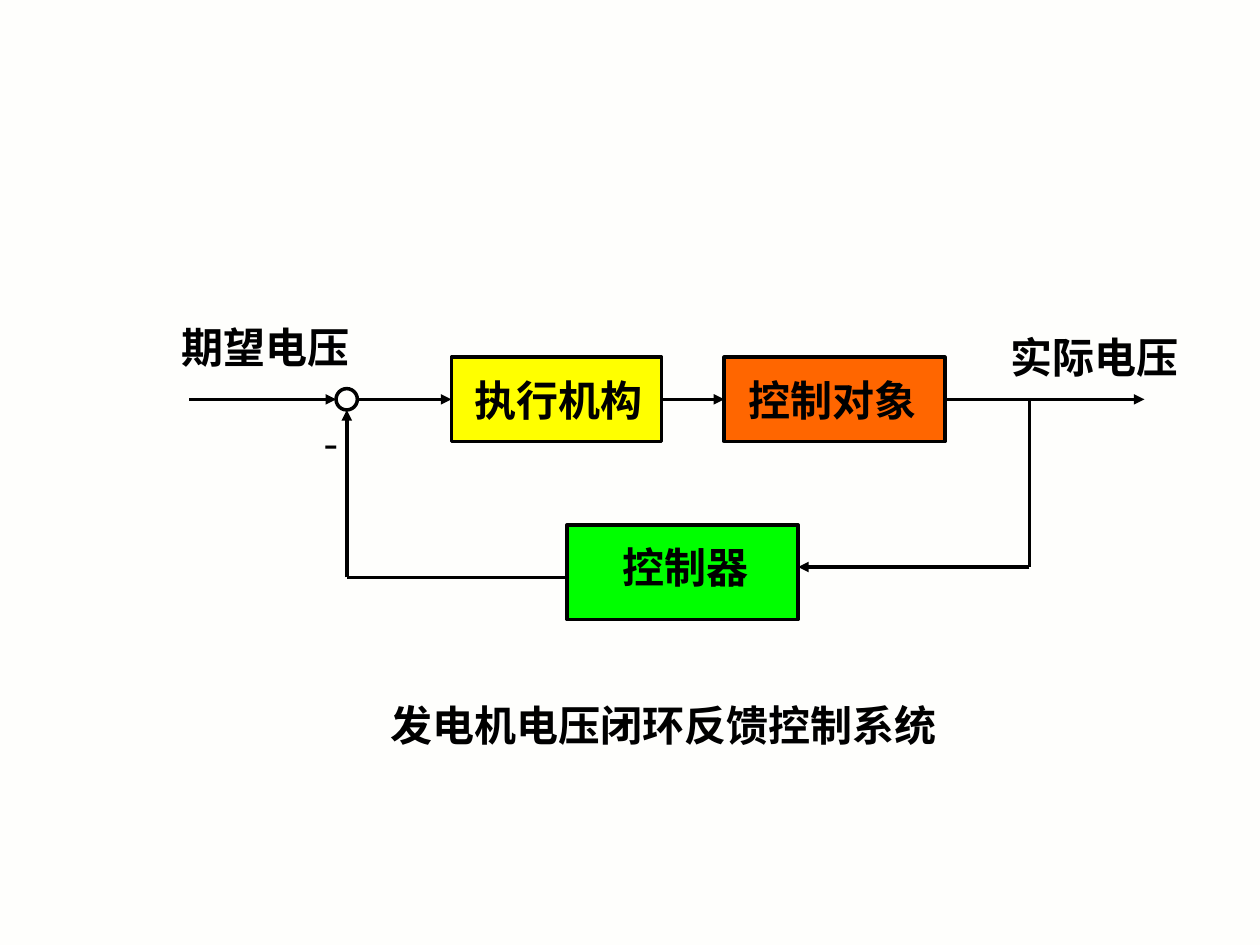
from lxml import etree
from pptx import Presentation
from pptx.dml.color import RGBColor
from pptx.enum.shapes import MSO_CONNECTOR, MSO_SHAPE
from pptx.enum.text import MSO_AUTO_SIZE, PP_ALIGN
from pptx.oxml.ns import qn
from pptx.util import Cm, Pt

BLACK = RGBColor(0x00, 0x00, 0x00)
PAPER = RGBColor(0xFE, 0xFE, 0xFC)
YELLOW = RGBColor(0xFF, 0xFF, 0x00)
ORANGE = RGBColor(0xFF, 0x66, 0x00)
GREEN = RGBColor(0x00, 0xFF, 0x00)

RECTANGLE = MSO_SHAPE.RECTANGLE
OVAL = MSO_SHAPE.OVAL
STRAIGHT = MSO_CONNECTOR.STRAIGHT
CENTER = PP_ALIGN.CENTER
FIT_SHAPE = MSO_AUTO_SIZE.SHAPE_TO_FIT_TEXT
LEFT_SIDE, RIGHT_SIDE = 1, 3

# Signal path, in centimetres
FORWARD_Y = 8.05
SUM_X, SUM_SIZE = 6.99, 0.43
SUM_RADIUS = SUM_SIZE / 2
BRANCH_X = 20.75
MEASURE_Y, CORRECT_Y = 11.43, 11.64
CONTROLLER_LEFT, CONTROLLER_WIDTH = 11.43, 4.66


def write_text(frame, text, size=24, bold=True, font="Times New Roman", color=BLACK):
    para = frame.paragraphs[0]
    para.alignment = CENTER
    span = para.add_run()
    span.text = text
    span.font.name = font
    span.font.size = Pt(size)
    span.font.bold = bold
    span.font.color.rgb = color


class Diagram:
    def __init__(self, page, line_width=2, line_color=BLACK):
        self.page = page
        self.line_width = Pt(line_width)
        self.line_color = line_color

    def style_line(self, line):
        line.width = self.line_width
        line.color.rgb = self.line_color

    def shape(self, kind, left, top, width, height, fill=None):
        shape = self.page.shapes.add_shape(kind, Cm(left), Cm(top), Cm(width), Cm(height))
        shape.shadow.inherit = False
        if fill is None:
            shape.fill.background()
        else:
            shape.fill.solid()
            shape.fill.fore_color.rgb = fill
        self.style_line(shape.line)
        return shape

    def line(self, start, end, arrow=True, source=None, target=None):
        line = self.page.shapes.add_connector(STRAIGHT, *(Cm(v) for v in (*start, *end)))
        if source is not None:
            line.begin_connect(source, RIGHT_SIDE)
        if target is not None:
            line.end_connect(target, LEFT_SIDE)
        self.style_line(line.line)
        if arrow:
            etree.SubElement(line.line._get_or_add_ln(), qn("a:tailEnd"), type="triangle")
        etree.SubElement(line._element.spPr, qn("a:effectLst"))

    def label(self, text, left, top, width, wrap=False, **style):
        box = self.page.shapes.add_textbox(Cm(left), Cm(top), Cm(width), Cm(1.27))
        box.text_frame.word_wrap = wrap
        box.text_frame.auto_size = FIT_SHAPE
        write_text(box.text_frame, text, **style)


def main():
    deck = Presentation()
    deck.slide_width, deck.slide_height = Cm(25.4), Cm(19.05)
    page = deck.slides.add_slide(deck.slide_layouts[6])
    page.background.fill.solid()
    page.background.fill.fore_color.rgb = PAPER
    diagram = Diagram(page)

    # Blocks and summing point
    actuator = diagram.shape(RECTANGLE, 9.1, 7.2, 4.24, 1.7, YELLOW)
    plant = diagram.shape(RECTANGLE, 14.6, 7.2, 4.45, 1.7, ORANGE)
    diagram.shape(RECTANGLE, CONTROLLER_LEFT, 10.58, CONTROLLER_WIDTH, 1.91, GREEN)
    diagram.shape(OVAL, SUM_X - SUM_RADIUS, FORWARD_Y - SUM_RADIUS, SUM_SIZE, SUM_SIZE)

    # Forward path
    diagram.line((3.81, FORWARD_Y), (SUM_X - SUM_RADIUS, FORWARD_Y))
    diagram.line((SUM_X + SUM_RADIUS, FORWARD_Y), (9.1, FORWARD_Y), target=actuator)
    diagram.line((13.34, FORWARD_Y), (14.6, FORWARD_Y), source=actuator, target=plant)
    diagram.line((19.05, FORWARD_Y), (23.07, FORWARD_Y), source=plant)

    # Feedback path
    diagram.line((BRANCH_X, FORWARD_Y), (BRANCH_X, MEASURE_Y), arrow=False)
    diagram.line((BRANCH_X, MEASURE_Y), (CONTROLLER_LEFT + CONTROLLER_WIDTH, MEASURE_Y))
    diagram.line((CONTROLLER_LEFT, CORRECT_Y), (SUM_X, CORRECT_Y), arrow=False)
    diagram.line((SUM_X, CORRECT_Y), (SUM_X, FORWARD_Y + SUM_RADIUS))

    # Labels and caption
    for text, left, top, width in (
        ("执行机构", 9.32, 7.42, 3.89),
        ("控制对象", 14.83, 7.42, 3.89),
        ("控制器", 12.29, 10.8, 3.05),
        ("期望电压", 3.4, 6.35, 3.89),
        ("实际电压", 20.12, 6.55, 3.89),
        ("发电机电压闭环反馈控制系统", 7.62, 13.97, 11.51),
    ):
        diagram.label(text, left, top, width)
    diagram.label("-", 5.92, 8.26, 1.5, wrap=True, bold=False)

    deck.save("out.pptx")


if __name__ == "__main__":
    main()
